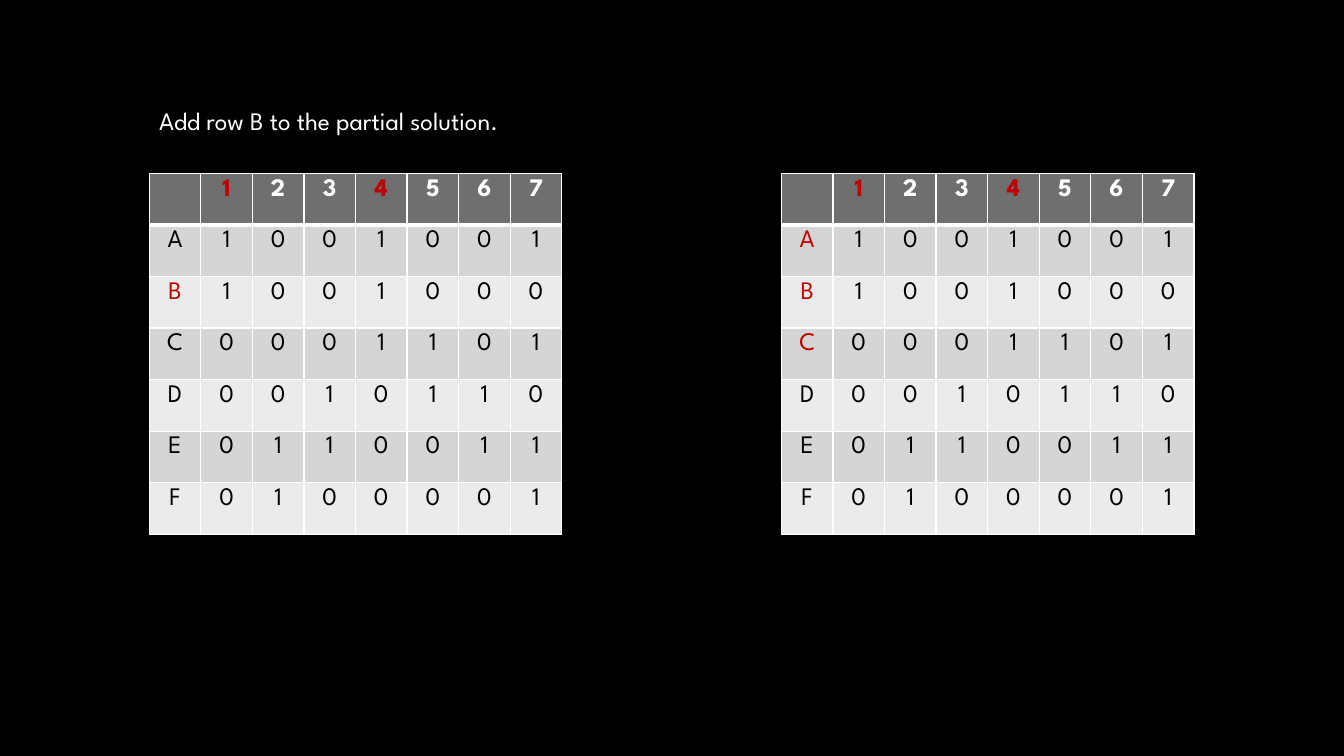
from pptx import Presentation
from pptx.dml.color import RGBColor as RGB
from pptx.enum.text import MSO_AUTO_SIZE as Auto, PP_ALIGN as Align
from pptx.oxml import parse_xml
from pptx.oxml.ns import nsdecls
from pptx.util import Inches, Pt

BLACK = RGB(0, 0, 0)
WHITE = RGB(255, 255, 255)
RED = RGB(0xC0, 0, 0)
HEAD = RGB(0x6F, 0x6F, 0x6F)
DARK = RGB(0xD5, 0xD5, 0xD5)
LIGHT = RGB(0xEB, 0xEB, 0xEB)

MATRIX = [
    " 1234567",
    "A1001001",
    "B1001000",
    "C0001101",
    "D0010110",
    "E0110011",
    "F0100001",
]
COVERED = "14"
SIDE = 3.58 / 7


def write(frame, text, color=BLACK, bold=False, align=Align.LEFT, space=1.0):
    par = frame.paragraphs[0]
    par.alignment = align
    par.line_spacing = space
    run = par.add_run()
    run.text = text
    font = run.font
    font.name, font.size, font.bold = "League Spartan", Pt(18), bold
    font.color.rgb = color


class Board:
    def __init__(self, slide):
        self.slide = slide
        back = slide.background.fill
        back.solid()
        back.fore_color.rgb = BLACK

    def label(self, text, x, y, w, h):
        box = self.slide.shapes.add_textbox(
            Inches(x), Inches(y), Inches(w), Inches(h))
        frame = box.text_frame
        frame.word_wrap = True
        frame.auto_size = Auto.SHAPE_TO_FIT_TEXT
        write(frame, text, color=WHITE, space=1.3)

    def border(self, cell, row):
        """Rule the cell in white, thicker under the header row."""
        props = cell._tc.get_or_add_tcPr()
        wide = {"T": row == 1, "B": row == 0}
        for side in "LRTB":
            width = Pt(3 if wide.get(side) else 1)
            props.append(parse_xml(
                f'<a:ln{side} {nsdecls("a")} w="{width}"><a:solidFill>'
                f'<a:srgbClr val="{WHITE}"/></a:solidFill></a:ln{side}>'))

    def matrix(self, x, y, chosen):
        """Draw the matrix with the chosen row names in red."""
        rows, cols = len(MATRIX), len(MATRIX[0])
        table = self.slide.shapes.add_table(
            rows, cols, Inches(x), Inches(y),
            Inches(cols * SIDE), Inches(rows * SIDE)).table
        for line in [*table.columns]:
            line.width = Inches(SIDE)
        for line in [*table.rows]:
            line.height = Inches(SIDE)
        for r, values in enumerate(MATRIX):
            for c, value in enumerate(values):
                cell = table.cell(r, c)
                self.border(cell, r)
                cell.fill.solid()
                cell.fill.fore_color.rgb = (
                    HEAD if r == 0 else DARK if r % 2 else LIGHT)
                if value == " ":
                    continue
                marked = value in (COVERED if r == 0 else chosen)
                color = RED if marked else BLACK if r else WHITE
                write(cell.text_frame, value, color=color,
                      bold=r == 0, align=Align.CENTER)


def main():
    deck = Presentation()
    deck.slide_width, deck.slide_height = Inches(13.33), Inches(7.5)
    board = Board(deck.slides.add_slide(deck.slide_layouts[6]))
    board.matrix(1.48, 1.72, chosen="B")
    board.matrix(7.75, 1.72, chosen="ABC")
    board.label("Add row B to the partial solution.", 1.48, 0.91, 4.44, 0.4)
    deck.save("out.pptx")


if __name__ == "__main__":
    main()
